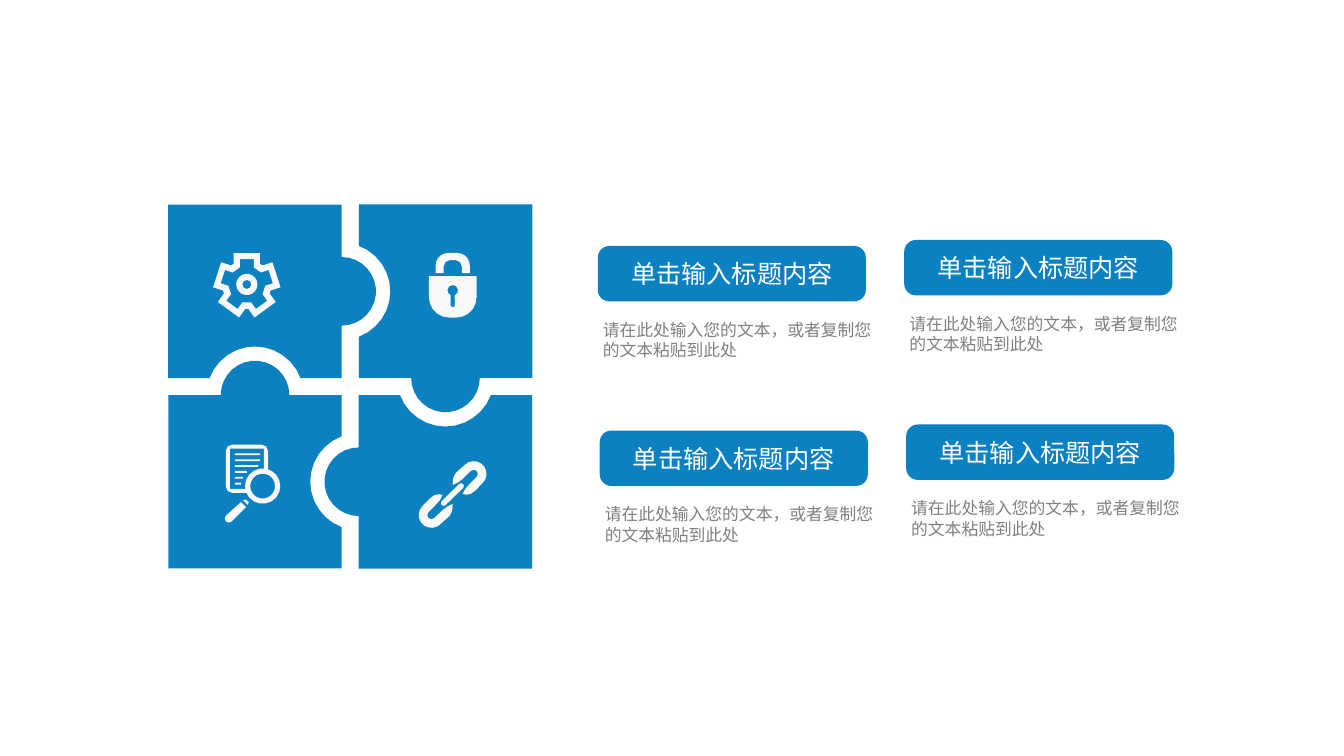
import math
from dataclasses import dataclass

import pptx
import pptx.dml.color
import pptx.enum.shapes
import pptx.enum.text
import pptx.oxml.ns
import pptx.util
from lxml import etree
from pptx.util import Pt

BLUE = pptx.dml.color.RGBColor(0x0B, 0x81, 0xC1)
ICON_WHITE = pptx.dml.color.RGBColor(0xF8, 0xF8, 0xF8)
WHITE = pptx.dml.color.RGBColor(0xFF, 0xFF, 0xFF)
GRAY = pptx.dml.color.RGBColor(0x80, 0x80, 0x80)
FONT = "Noto Sans CJK SC"

Point = tuple[float, float]
Contour = list[Point]

PUZZLE_CENTER = (250.2, 276.1)
OUTER, INNER, MIDDLE = 130, 6.1, 68
TAB_RADIUS, SOCKET_RADIUS = 24.5, 34.7


@dataclass(frozen=True)
class Card:
    left: float
    top: float
    title: str = "单击输入标题内容"
    body: str = "请在此处输入您的文本，或者复制您的文本粘贴到此处"


# Geometry, in points; angles in degrees, clockwise from the right
def arc(x: float, y: float, radius: float, start: float, end: float) -> Contour:
    # Small arcs need fewer segments to look round
    step = 12 if radius > 20 else 20 if radius > 7 else 45
    steps = math.ceil(abs(end - start) / step)
    angles = [math.radians(start + (end - start) * i / steps) for i in range(steps + 1)]
    return [(x + radius * math.cos(a), y + radius * math.sin(a)) for a in angles]


def circle(x: float, y: float, radius: float) -> Contour:
    return arc(x, y, radius, 0, 360)[:-1]


def turn(points: Contour, degrees: float, center: Point = (0, 0)) -> Contour:
    cos, sin = math.cos(math.radians(degrees)), math.sin(math.radians(degrees))
    cx, cy = center
    return [(cx + (x - cx) * cos - (y - cy) * sin,
             cy + (x - cx) * sin + (y - cy) * cos) for x, y in points]


def move(points: Contour, offset: Point) -> Contour:
    return [(x + offset[0], y + offset[1]) for x, y in points]


def draw(page, color: pptx.dml.color.RGBColor, *contours: Contour) -> None:
    outlines = [[(Pt(x), Pt(y)) for x, y in contour] for contour in contours]
    builder = page.shapes.build_freeform(*outlines[0][0], scale=1.0)
    for index, outline in enumerate(outlines):
        if index:
            builder.move_to(*outline[0])
        builder.add_line_segments(outline[1:], close=True)
    shape = builder.convert_to_shape()
    shape.shadow.inherit = False
    shape.fill.solid()
    shape.fill.fore_color.rgb = color
    shape.line.fill.background()


# Puzzle: one piece, turned around the centre
def draw_puzzle(page) -> None:
    chord = math.degrees(math.asin(2 * INNER / SOCKET_RADIUS))
    piece = [(-OUTER, -OUTER), (-INNER, -OUTER),
             *arc(-INNER, -MIDDLE, TAB_RADIUS, -90, 90),
             (-INNER, -INNER),
             *arc(-MIDDLE, INNER, SOCKET_RADIUS, -chord, chord - 180),
             (-OUTER, -INNER)]
    for quarter in range(4):
        draw(page, BLUE, move(turn(piece, 90 * quarter), PUZZLE_CENTER))


# Icons
def draw_gear(page) -> None:
    center = (176.3, 203.2)

    def teeth(half: float, base: float, tip: float) -> Contour:
        tooth = [(-half, -base), (-half, -tip), (half, -tip), (half, -base)]
        return [point for i in range(5) for point in move(turn(tooth, 72 * i), center)]

    draw(page, ICON_WHITE, teeth(9.4, 14.8, 22.3), teeth(5, 12.2, 18),
         circle(*center, 7.6), circle(*center, 3.2))


def draw_lock(page) -> None:
    x = 323.4
    shackle = [(x - 12.2, 195.1), *arc(x - 3.2, 189.7, 9, 180, 270),
               *arc(x + 3.2, 189.7, 9, 270, 360), (x + 12.2, 195.1),
               (x + 6.5, 195.1), *arc(x + 2, 190.3, 4.5, 360, 270),
               *arc(x - 2, 190.3, 4.5, 270, 180), (x - 6.5, 195.1)]
    body = [(x - 17, 197.3), (x + 17, 197.3), *arc(x + 2.6, 212.4, 14.4, 0, 90),
            *arc(x - 2.6, 212.4, 14.4, 90, 180)]
    keyhole = [*arc(x, 207.4, 3.8, 112, 428), *arc(x, 218, 1.5, 0, 180)]
    draw(page, ICON_WHITE, shackle)
    draw(page, ICON_WHITE, body, keyhole)


def draw_chain(page) -> None:
    link = [*arc(308.2, 367.9, 3, 45, 225), (311.8, 360), (314.3, 357.1),
            (316.1, 353.5), (313.5, 353), (310.5, 353.6), (307.4, 355.7),
            *arc(308.2, 367.9, 9.1, 225, 45), (321.1, 368.6), (323, 364.8),
            (323.3, 360), (319.5, 361.8), (316.1, 364.3)]
    draw(page, ICON_WHITE, link, turn(link, 180, (323.3, 353.2)))
    draw(page, ICON_WHITE, [*arc(329.4, 347.2, 2, 225, 405),
                            *arc(316.9, 359.4, 2, 45, 225)])


def draw_search(page) -> None:
    sheet = [(177.1, 352.1), *arc(166, 347.4, 4.7, 90, 180),
             *arc(166, 322.2, 4.7, 180, 270), *arc(186.8, 322.2, 4.7, 270, 360),
             (191.5, 336.2), (188.6, 335.5), (188.6, 320.4),
             (164.2, 320.4), (164.2, 349.2), (175.7, 349.2)]
    draw(page, ICON_WHITE, sheet)
    rows = []
    for index, right in enumerate((185.8, 185.8, 184.3, 176.4, 173.5, 172.1)):
        top = 323.9 + 4.18 * index
        rows.append([(167.8, top), (right, top), (right, top + 1.3), (167.8, top + 1.3)])
    draw(page, ICON_WHITE, *rows)
    draw(page, ICON_WHITE, circle(187.6, 347.2, 12.6), circle(187.6, 347.2, 8.9))
    collar = [(173.5, 357.1), (175.7, 356.9), (177.6, 358.6), (177.1, 360.7)]
    handle = [(172.1, 358.6), (175.7, 362.2), *arc(163.4, 370.4, 2.9, 45, 225)]
    draw(page, ICON_WHITE, collar, handle)


# Cards
def write(frame, text: str, size: float, color: pptx.dml.color.RGBColor,
          align: pptx.enum.text.PP_ALIGN) -> None:
    frame.word_wrap = True
    para = frame.paragraphs[0]
    para.text = text
    para.alignment = align
    para.font.size = Pt(size)
    para.font.name = FONT
    para.font.color.rgb = color
    defaults = para._p.pPr.find(pptx.oxml.ns.qn("a:defRPr"))
    etree.SubElement(defaults, pptx.oxml.ns.qn("a:ea"), typeface=FONT)


def draw_card(page, card: Card) -> None:
    pill = page.shapes.add_shape(
        pptx.enum.shapes.MSO_SHAPE.ROUNDED_RECTANGLE,
        Pt(card.left), Pt(card.top), Pt(191.5), Pt(39.6))
    pill.adjustments[0] = 0.21
    pill.shadow.inherit = False
    pill.fill.solid()
    pill.fill.fore_color.rgb = BLUE
    pill.line.fill.background()
    pill.text_frame.vertical_anchor = pptx.enum.text.MSO_ANCHOR.MIDDLE
    write(pill.text_frame, card.title, 18, WHITE, pptx.enum.text.PP_ALIGN.CENTER)

    box = page.shapes.add_textbox(
        Pt(card.left - 1.4), Pt(card.top + 49.7), Pt(206.6), Pt(43.2))
    frame = box.text_frame
    frame.margin_left = frame.margin_right = Pt(5)
    frame.margin_top = frame.margin_bottom = Pt(2.9)
    write(frame, card.body, 12, GRAY, pptx.enum.text.PP_ALIGN.LEFT)
    frame.auto_size = pptx.enum.text.MSO_AUTO_SIZE.SHAPE_TO_FIT_TEXT


def main() -> None:
    deck = pptx.Presentation()
    deck.slide_width, deck.slide_height = Pt(960), Pt(540)
    page = deck.slides.add_slide(deck.slide_layouts[6])
    for row in range(2):
        for column in range(2):
            draw_card(page, Card(left=427 + 218.9 * column + 1.4 * row,
                                 top=175.7 - 4.3 * column + 131.8 * row))
    draw_puzzle(page)
    draw_gear(page)
    draw_lock(page)
    draw_chain(page)
    draw_search(page)
    deck.save("out.pptx")


if __name__ == "__main__":
    main()
